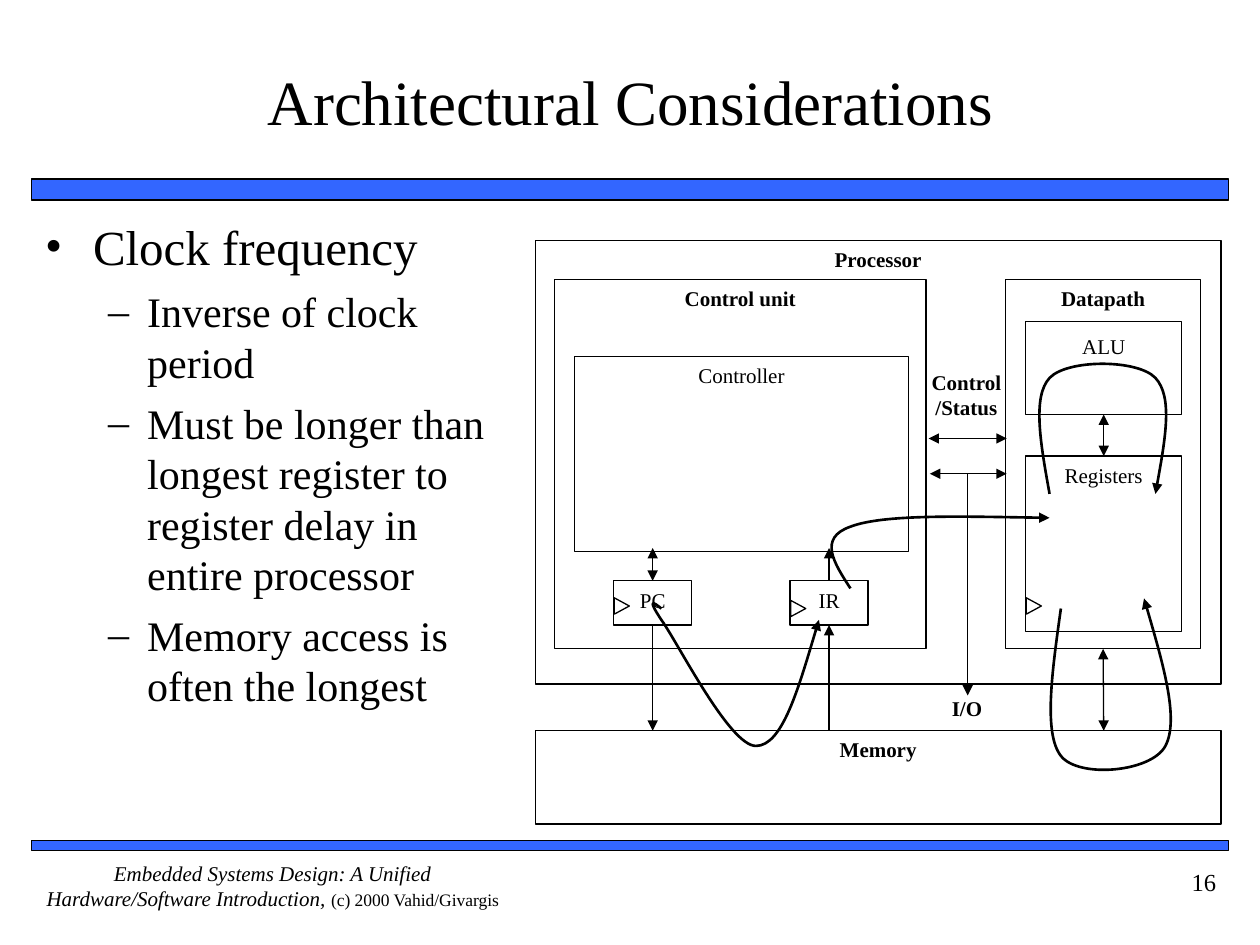
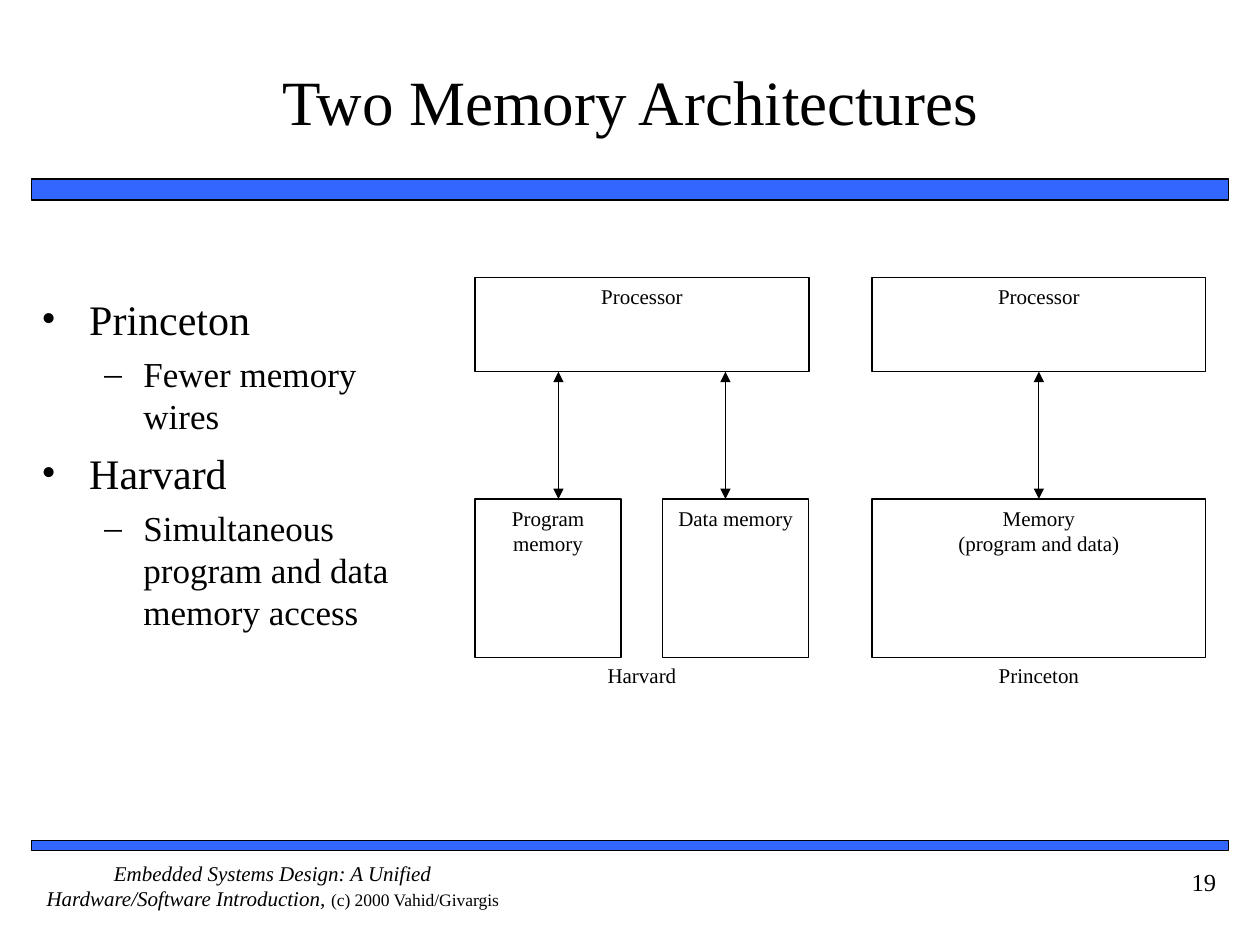
from pptx import Presentation
from pptx.dml.color import RGBColor
from pptx.enum.shapes import MSO_CONNECTOR as CONN, MSO_SHAPE as SHAPE
from pptx.enum.text import MSO_ANCHOR as ANCHOR, PP_ALIGN as ALIGN
from pptx.oxml.ns import qn
from pptx.util import Inches, Pt
from lxml.etree import SubElement

COLORS = {"ink": "000000", "band": "3366FF", "paper": "FFFFFF"}
FONT = "Times New Roman"
BOX_MARGINS = (0.1, 0.05, 0.1, 0.05)
NO_MARGINS = (0, 0, 0, 0)
# bullet character, left margin, first-line indent for each level
BULLETS = [("•", 0.38, -0.38), ("–", 0.81, -0.31)]


def rgb(name):
    return RGBColor.from_string(COLORS[name])


def add_run(p, text, **fmt):
    r = p.add_run()
    r.text = text
    r.font.color.rgb = rgb("ink")
    for name, value in {"name": FONT, "size": Pt(12), **fmt}.items():
        setattr(r.font, name, value)


def set_frame(tf, margins, anchor=ANCHOR.TOP):
    tf.word_wrap = True
    tf.vertical_anchor = anchor
    for side, value in zip(("left", "top", "right", "bottom"), margins):
        setattr(tf, f"margin_{side}", Inches(value))


def write(tf, text, align=ALIGN.CENTER, **fmt):
    """Write one paragraph for each line of text."""
    for i, line in enumerate(text.split("\n")):
        p = tf.add_paragraph() if i else tf.paragraphs[0]
        p.alignment = align
        add_run(p, line, **fmt)


def add_frame(s, at, margins=BOX_MARGINS, anchor=ANCHOR.TOP):
    tf = s.shapes.add_textbox(*map(Inches, at)).text_frame
    set_frame(tf, margins, anchor)
    return tf


def add_label(s, at, text, margins=BOX_MARGINS, **fmt):
    write(add_frame(s, at, margins), text, **fmt)


def style(sp, fill=None, width=0.75):
    sp.shadow.inherit = False
    if fill:
        sp.fill.solid()
        sp.fill.fore_color.rgb = rgb(fill)
    else:
        sp.fill.background()
    sp.line.color.rgb = rgb("ink")
    sp.line.width = Pt(width)


def add_box(s, at, text="", fill="paper", width=0.75, margins=BOX_MARGINS, **fmt):
    sp = s.shapes.add_shape(SHAPE.RECTANGLE, *map(Inches, at))
    style(sp, fill, width)
    if text:
        set_frame(sp.text_frame, margins)
        write(sp.text_frame, text, **fmt)
    return sp


def add_clock_mark(s, left, top):
    sp = s.shapes.add_shape(SHAPE.ISOSCELES_TRIANGLE, Inches(left), Inches(top),
                            Inches(0.13), Inches(0.12))
    sp.rotation = 90
    style(sp)


def add_heads(sp, both=False):
    ln = sp.element.spPr.find(qn("a:ln"))
    for tag in ("a:headEnd", "a:tailEnd") if both else ("a:tailEnd",):
        SubElement(ln, qn(tag), type="triangle")


def add_arrow(s, start, end, both=False):
    """Each end is an (x, y) point or a (shape, connection site) pair."""
    joined = [not isinstance(e[0], (int, float)) for e in (start, end)]
    points = [(0, 0) if j else e for j, e in zip(joined, (start, end))]
    c = s.shapes.add_connector(CONN.STRAIGHT, *(Inches(v) for pt in points for v in pt))
    if joined[0]:
        c.begin_connect(*start)
    if joined[1]:
        c.end_connect(*end)
    c.line.color.rgb = rgb("ink")
    c.line.width = Pt(0.75)
    add_heads(c, both)
    SubElement(c.element.spPr, qn("a:effectLst"))


def add_curve(s, points):
    """Draw an arrow of Bézier curves: a start, then three points per curve."""
    start, *rest = [(Inches(x), Inches(y)) for x, y in points]
    fb = s.shapes.build_freeform(*start)
    fb.add_line_segments(rest, close=False)
    sp = fb.convert_to_shape()
    outline = next(sp.element.iter(qn("a:path")))
    segments = outline.findall(qn("a:lnTo"))
    for i in range(0, len(segments), 3):
        curve = SubElement(outline, qn("a:cubicBezTo"))
        for segment in segments[i:i + 3]:
            curve.append(segment[0])
            outline.remove(segment)
    style(sp, width=1.5)
    add_heads(sp)


def add_bullets(s, at, items, sizes, spaces):
    """Items are (level, text); sizes and spaces are given per level."""
    tf = add_frame(s, at)
    for i, (level, text) in enumerate(items):
        p = tf.add_paragraph() if i else tf.paragraphs[0]
        char, left, indent = BULLETS[level]
        pPr = p._p.get_or_add_pPr()
        pPr.set("marL", str(Inches(left)))
        pPr.set("indent", str(Inches(indent)))
        SubElement(SubElement(pPr, qn("a:buClr")), qn("a:srgbClr"), val=COLORS["ink"])
        SubElement(pPr, qn("a:buFont"), typeface=FONT)
        SubElement(pPr, qn("a:buChar"), char=char)
        p.level = level
        if i:
            p.space_before = Pt(spaces[level])
        add_run(p, text, size=Pt(sizes[level]))


def add_slide(prs, title, number):
    """Add a slide with its title, bands and footer."""
    s = prs.slides.add_slide(prs.slide_layouts[6])
    for top, height in ((1.42, 0.17), (6.67, 0.08)):
        add_box(s, (0.25, top, 9.5, height), fill="band", width=1)
    p = add_frame(s, (0.25, 6.83, 3.83, 0.5), NO_MARGINS).paragraphs[0]
    p.alignment = ALIGN.CENTER
    add_run(p, "Embedded Systems Design: A Unified Hardware/Software Introduction, ",
            italic=True)
    add_run(p, "(c) 2000 Vahid/Givargis", size=Pt(10))
    add_label(s, (8.75, 6.83, 1, 0.5), str(number), align=ALIGN.RIGHT, size=Pt(14))
    tf = add_frame(s, (0.42, 0.17, 9.17, 1.25), (0, 0.05, 0, 0.05), ANCHOR.MIDDLE)
    write(tf, title, size=Pt(36))
    return s


def add_processor_diagram(s):
    add_box(s, (4.25, 1.91, 5.44, 3.52), "Processor", bold=True)
    add_box(s, (4.4, 2.22, 2.95, 2.93), "Control unit", bold=True)
    datapath = add_box(s, (7.98, 2.22, 1.55, 2.93), "Datapath", bold=True)
    alu = add_box(s, (8.14, 2.55, 1.24, 0.74), "ALU", margins=(0.1, 0.1, 0.1, 0.05))
    registers = add_box(s, (8.14, 3.62, 1.24, 1.39), "Registers")
    ir = add_box(s, (6.27, 4.61, 0.62, 0.35), "IR")
    pc = add_box(s, (4.87, 4.61, 0.62, 0.35), "PC")
    add_box(s, (4.56, 2.83, 2.65, 1.55), "Controller")
    add_box(s, (4.25, 5.8, 5.44, 0.74), "Memory", bold=True)

    add_arrow(s, (ir, 0), (6.58, 4.35))
    add_arrow(s, (pc, 0), (5.18, 4.35), both=True)
    add_arrow(s, (alu, 2), (registers, 0), both=True)
    add_arrow(s, (datapath, 2), (8.76, 5.8), both=True)
    add_arrow(s, (pc, 2), (5.18, 5.8))
    add_arrow(s, (6.58, 5.8), (ir, 2))
    add_arrow(s, (7.37, 3.48), (7.99, 3.48), both=True)
    for end in ((7.99, 3.76), (7.38, 3.76), (7.68, 5.52)):
        add_arrow(s, (7.68, 3.76), end)

    add_label(s, (7.44, 5.52, 0.47, 0.28), "I/O", NO_MARGINS, bold=True)
    add_label(s, (7.36, 2.93, 0.62, 0.56), "Control\n/Status", NO_MARGINS, bold=True)
    for left, top in ((4.87, 4.75), (6.27, 4.77), (8.14, 4.75)):
        add_clock_mark(s, left, top)

    pc_to_ir = [(5.25, 4.83), (5.19, 4.78), (5.13, 4.74), (5.25, 4.92), (5.38, 5.1),
                (5.79, 5.92), (6, 5.92), (6.21, 5.92), (6.35, 5.42), (6.5, 4.92)]
    ir_to_registers = [(6.75, 4.67), (6.62, 4.47), (6.49, 4.27), (6.75, 4.18),
                       (7.01, 4.08), (7.67, 4.1), (8.33, 4.11)]
    through_alu = [(8.33, 3.92), (8.26, 3.53), (8.19, 3.15), (8.33, 3), (8.47, 2.85),
                   (9.03, 2.85), (9.17, 3), (9.31, 3.15), (9.24, 3.53), (9.17, 3.92)]
    through_memory = [(8.42, 4.83), (8.35, 5.33), (8.28, 5.82), (8.42, 6), (8.56, 6.18),
                      (9.14, 6.13), (9.25, 5.92), (9.36, 5.71), (9.22, 5.23), (9.08, 4.75)]
    for points in (pc_to_ir, ir_to_registers, through_alu, through_memory):
        add_curve(s, points)


def add_memory_diagrams(s):
    harvard, princeton, width = 3.77, 6.92, 2.65
    top, bottom, memory_top, memory_height = 2.2, 2.95, 3.96, 1.26
    processors = [add_box(s, (left, top, width, bottom - top), "Processor")
                  for left in (harvard, princeton)]
    for left, name in ((harvard, "Program memory"), (5.26, "Data memory")):
        add_box(s, (left, memory_top, 1.16, memory_height), name)
    memory = add_box(s, (princeton, memory_top, width, memory_height),
                     "Memory\n(program and data)")
    for share in (0.25, 0.75):
        x = harvard + share * width
        add_arrow(s, (x, bottom), (x, memory_top), both=True)
    add_arrow(s, (processors[1], 2), (memory, 0), both=True)
    for left, name in ((harvard, "Harvard"), (princeton, "Princeton")):
        add_label(s, (left, 5.21, width, 0.75), name)


def main():
    prs = Presentation()
    prs.slide_width, prs.slide_height = Inches(10), Inches(7.5)

    s = add_slide(prs, "Architectural Considerations", 16)
    add_bullets(s, (0.26, 1.67, 3.89, 4.92), [
        (0, "Clock frequency"),
        (1, "Inverse of clock period"),
        (1, "Must be longer than longest register to register delay in entire processor"),
        (1, "Memory access is often the longest"),
    ], sizes=(28, 24), spaces=(7, 6))
    add_processor_diagram(s)

    s = add_slide(prs, "Two Memory Architectures", 19)
    add_memory_diagrams(s)
    add_bullets(s, (0.23, 2.28, 3.27, 3.84), [
        (0, "Princeton"),
        (1, "Fewer memory wires"),
        (0, "Harvard"),
        (1, "Simultaneous program and data memory access"),
    ], sizes=(24, 20), spaces=(6, 5))

    prs.save("out.pptx")


if __name__ == "__main__":
    main()
